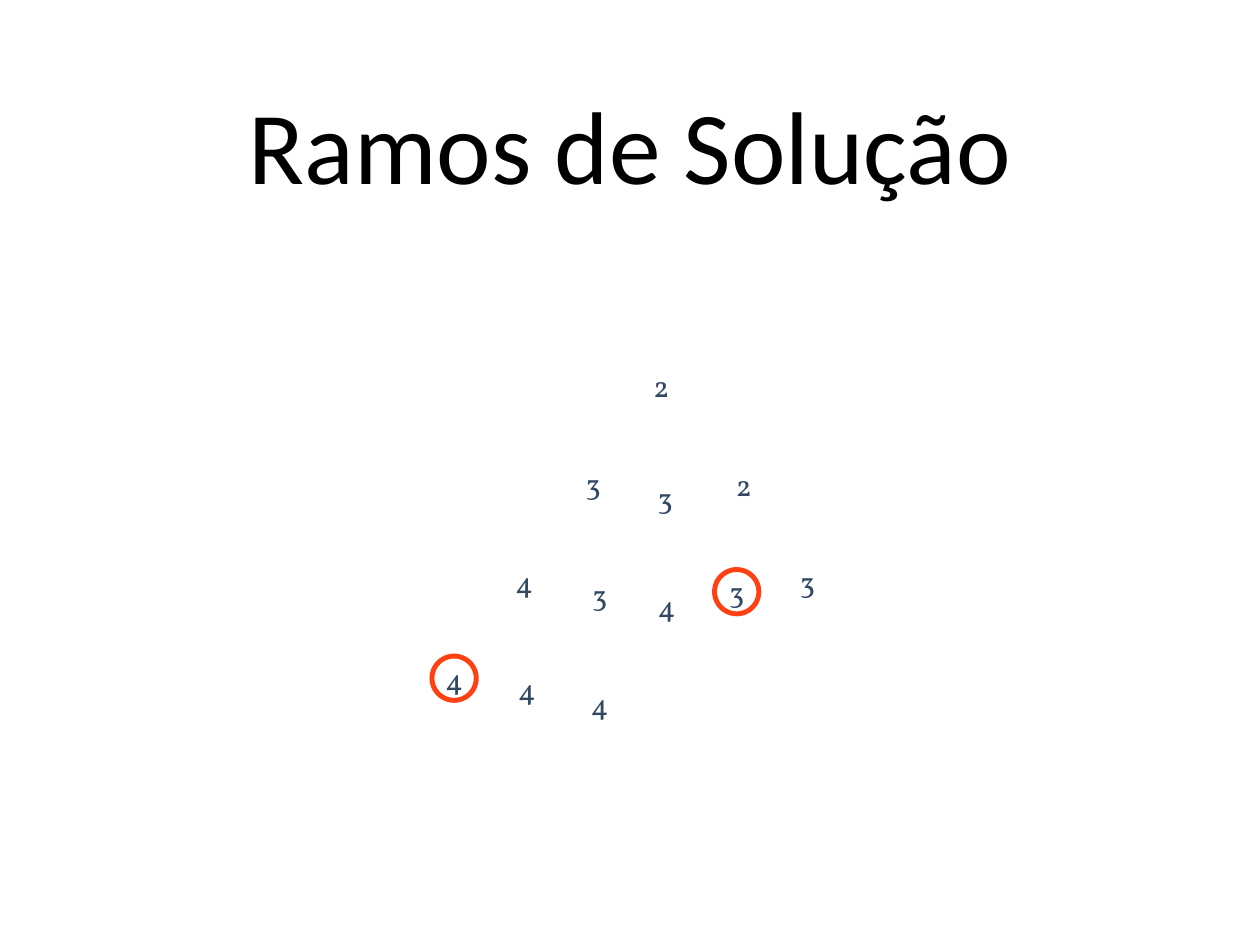
from pptx import Presentation
from pptx.dml.color import RGBColor
from pptx.enum.shapes import MSO_SHAPE
from pptx.enum.text import MSO_ANCHOR, MSO_AUTO_SIZE, PP_ALIGN
from pptx.util import Inches, Pt

HUES = {"page": "FFFFFF", "title": "000000", "digit": "324863", "ring": "FF4013"}
COLS, ROWS = 6, 4
DIGIT = (0.29, 0.56)
RING = 0.5

# Nodes by tree level: column, row, digit, ringed
NODES = [
    (3.16, 0, "2", False),
    (2.12, 1, "3", False), (3.22, 1.14, "3", False), (4.42, 1.01, "2", False),
    (1.07, 2, "4", False), (2.22, 2.13, "3", False), (3.24, 2.24, "4", False),
    (4.31, 2.1, "3", True), (5.39, 2, "3", False),
    (0, 2.98, "4", True), (1.11, 3.09, "4", False), (2.22, 3.24, "4", False),
]


def hue(name):
    return RGBColor.from_string(HUES[name])


def set_text(shape, text, font, size, tone, pad):
    frame = shape.text_frame
    frame.margin_left = frame.margin_right = Inches(pad)
    frame.margin_top = frame.margin_bottom = Inches(pad)
    frame.vertical_anchor = MSO_ANCHOR.MIDDLE
    frame.text = text
    line = frame.paragraphs[0]
    line.alignment = PP_ALIGN.CENTER
    face = line.runs[0].font
    face.name, face.size = font, Pt(size)
    face.color.rgb = hue(tone)
    return frame


# Heading
def add_title(slide, box):
    title = slide.shapes.title
    title.left, title.top, title.width, title.height = map(Inches, box)
    frame = set_text(title, "Ramos de Solução", "Calibri", 84, "title", 0.06)
    frame.auto_size = MSO_AUTO_SIZE.NONE


# Ring centred on a point
def add_ring(slide, x, y):
    box = (x - RING / 2, y - RING / 2, RING, RING)
    ring = slide.shapes.add_shape(MSO_SHAPE.OVAL, *map(Inches, box))
    ring.shadow.inherit = False
    ring.fill.background()
    ring.line.color.rgb = hue("ring")
    ring.line.width = Pt(4)


# Tree of digits on a grid
def add_tree(slide, box):
    left, top, width, height = box
    wide, high = DIGIT
    for col, row, text, ringed in NODES:
        x = left + col * width / COLS
        y = top + row * height / ROWS
        if ringed:
            add_ring(slide, x + wide / 2, y + high / 2)
        node = slide.shapes.add_textbox(*map(Inches, (x, y, wide, high)))
        frame = set_text(node, text, "Vollkorn", 24, "digit", 0)
        frame.word_wrap = False
        frame.auto_size = MSO_AUTO_SIZE.SHAPE_TO_FIT_TEXT


def main():
    deck = Presentation()
    deck.slide_width, deck.slide_height = Inches(14.22), Inches(10.67)
    slide = deck.slides.add_slide(deck.slide_layouts[5])
    slide.background.fill.solid()
    slide.background.fill.fore_color.rgb = hue("page")
    add_title(slide, (1.39, 0.28, 11.44, 2.67))
    add_tree(slide, (4.98, 4.07, 4.44, 4.44))
    deck.save("out.pptx")


if __name__ == "__main__":
    main()
